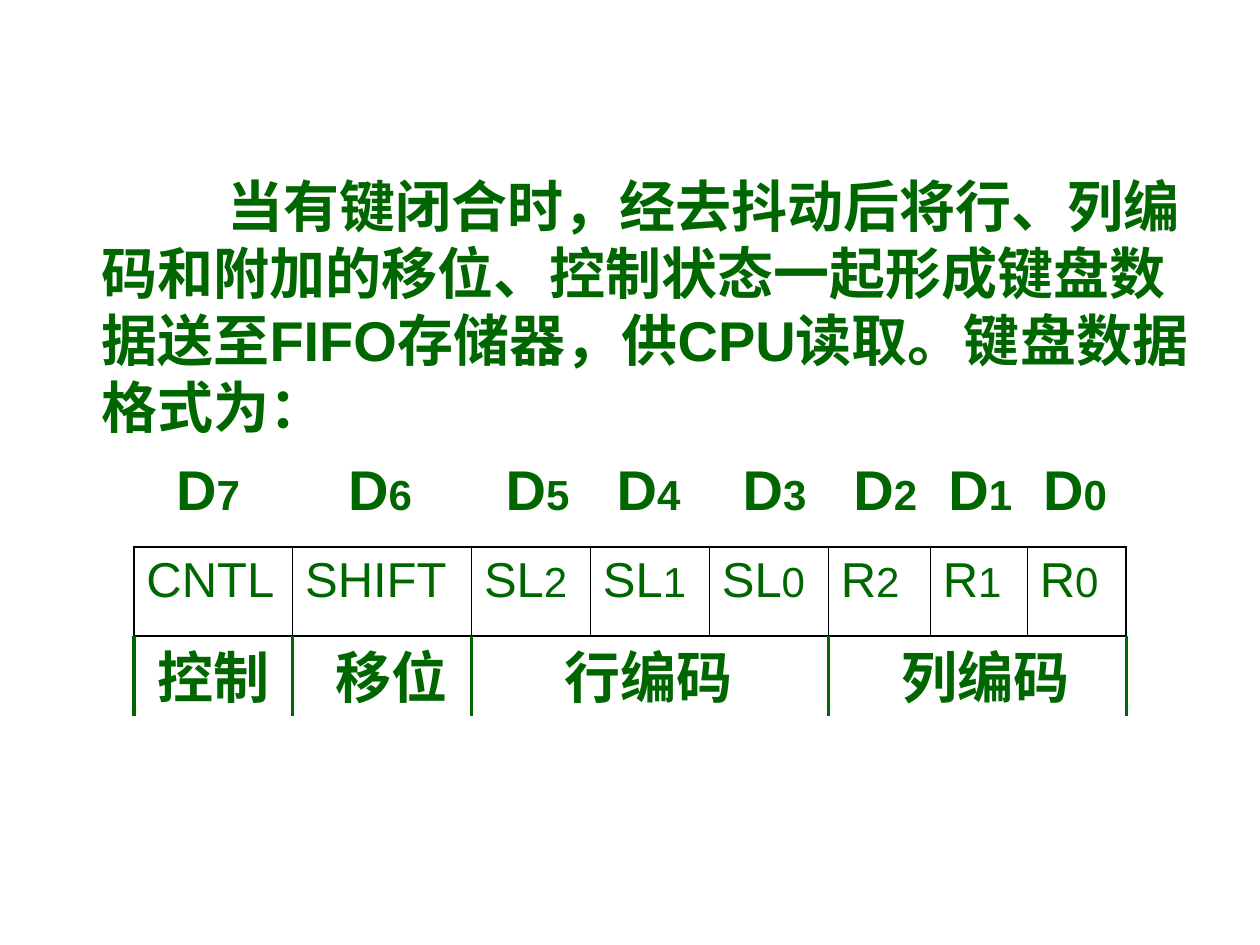
from itertools import accumulate
from typing import NamedTuple

from lxml import etree
from pptx import Presentation
from pptx.dml import color as dml
from pptx.enum import shapes
from pptx.oxml import ns
from pptx.util import Pt

GREEN = "006600"
BLACK = "000000"
FONT = "Arial"


class Column(NamedTuple):
    width: float
    name: str
    index: str
    bit_left: float  # where the bit label starts, from the first label


class Group(NamedTuple):
    text: str
    left: float
    width: float
    first_column: int


COLUMNS = [
    Column(90.7, "CNTL", "", 0),
    Column(102.2, "SHIFT", "", 98.3),
    Column(68, "SL", "2", 188.3),
    Column(68, "SL", "1", 251.7),
    Column(68, "SL", "0", 323.7),
    Column(58.3, "R", "2", 387),
    Column(55.4, "R", "1", 441.3),
    Column(56.5, "R", "0", 495.4),
]
GROUPS = [
    Group("控制", 82.8, 80, 0),
    Group("移位", 184.6, 80, 1),
    Group("行编码", 315.4, 112, 2),
    Group("列编码", 508.3, 112, 5),
]
TABLE_LEFT, TABLE_TOP, ROW_HEIGHT = 76.5, 312.5, 51.1
TABLE_BOTTOM = TABLE_TOP + ROW_HEIGHT
LINE_LENGTH = 45.4
EDGES = list(accumulate((column.width for column in COLUMNS), initial=TABLE_LEFT))


def rgb(value: str) -> dml.RGBColor:
    return dml.RGBColor.from_string(value)


def add_run(paragraph, text: str, *, size: float = 32, bold: bool = True,
            color: str = GREEN) -> None:
    run = paragraph.add_run()
    run.text = text
    run.font.name = FONT
    run.font.size = Pt(size)
    run.font.bold = bold
    run.font.color.rgb = rgb(color)


def add_box(slide, left: float, top: float, width: float, height: float,
            wrap: bool = True):
    """Add a text box and return its first paragraph."""
    shape = slide.shapes.add_textbox(Pt(left), Pt(top), Pt(width), Pt(height))
    shape.text_frame.word_wrap = wrap
    return shape.text_frame.paragraphs[0]


def set_border(cell, side: str, width: float) -> None:
    properties = cell._tc.get_or_add_tcPr()
    line = etree.SubElement(properties, ns.qn(f"a:ln{side}"), w=str(Pt(width)))
    fill = etree.SubElement(line, ns.qn("a:solidFill"))
    etree.SubElement(fill, ns.qn("a:srgbClr"), val=BLACK)


def add_introduction(slide) -> None:
    paragraph = add_box(slide, 23.8, 94.3, 672.5, 351.4)
    properties = paragraph._p.get_or_add_pPr()
    properties.set("marL", str(Pt(27)))
    properties.set("indent", str(Pt(72)))
    add_run(paragraph, "当有键闭合时，经去抖动后将行、列编码和附加的移位、控制状态一起"
                       "形成键盘数据送至FIFO存储器，供CPU读取。键盘数据格式为：")


def add_bit_labels(slide) -> None:
    paragraph = add_box(slide, 93.6, 256, 546.5, 46.1)
    properties = paragraph._p.get_or_add_pPr()
    tabs = etree.SubElement(properties, ns.qn("a:tabLst"))
    for column in COLUMNS[1:]:
        etree.SubElement(tabs, ns.qn("a:tab"), pos=str(Pt(column.bit_left)), algn="l")
    for position in range(len(COLUMNS)):
        add_run(paragraph, "\tD" if position else "D")
        add_run(paragraph, str(len(COLUMNS) - 1 - position), size=24)


def add_format_table(slide) -> None:
    last = len(COLUMNS) - 1
    frame = slide.shapes.add_table(1, len(COLUMNS), Pt(TABLE_LEFT), Pt(TABLE_TOP),
                                   Pt(EDGES[-1] - TABLE_LEFT), Pt(ROW_HEIGHT))
    table = frame.table
    table.first_row = table.horz_banding = False
    table.rows[0].height = Pt(ROW_HEIGHT)
    for position, column in enumerate(COLUMNS):
        table.columns[position].width = Pt(column.width)
        cell = table.cell(0, position)
        set_border(cell, "L", 1.08 if position == 0 else 0.45)
        set_border(cell, "R", 1.08 if position == last else 0.45)
        set_border(cell, "T", 1.08)
        set_border(cell, "B", 1.08)
        cell.fill.background()
        paragraph = cell.text_frame.paragraphs[0]
        add_run(paragraph, column.name, size=28, bold=False)
        if column.index:
            add_run(paragraph, column.index, size=24, bold=False)


def add_divider(slide, x: float) -> None:
    line = slide.shapes.add_connector(
        shapes.MSO_CONNECTOR.STRAIGHT,
        Pt(x), Pt(TABLE_BOTTOM), Pt(x), Pt(TABLE_BOTTOM + LINE_LENGTH))
    line.line.color.rgb = rgb(GREEN)
    line.line.width = Pt(2)
    etree.SubElement(line._element.spPr, ns.qn("a:effectLst"))


def main() -> None:
    presentation = Presentation()
    presentation.slide_width, presentation.slide_height = Pt(720), Pt(540)
    slide = presentation.slides.add_slide(presentation.slide_layouts[6])

    # Explanation and data format
    add_introduction(slide)
    add_format_table(slide)
    add_bit_labels(slide)

    # Field groups below the table
    for x in [EDGES[group.first_column] for group in GROUPS] + [EDGES[-1]]:
        add_divider(slide, x)
    for group in GROUPS:
        paragraph = add_box(slide, group.left, TABLE_BOTTOM, group.width, 46.1)
        add_run(paragraph, group.text)

    presentation.save("out.pptx")


if __name__ == "__main__":
    main()
